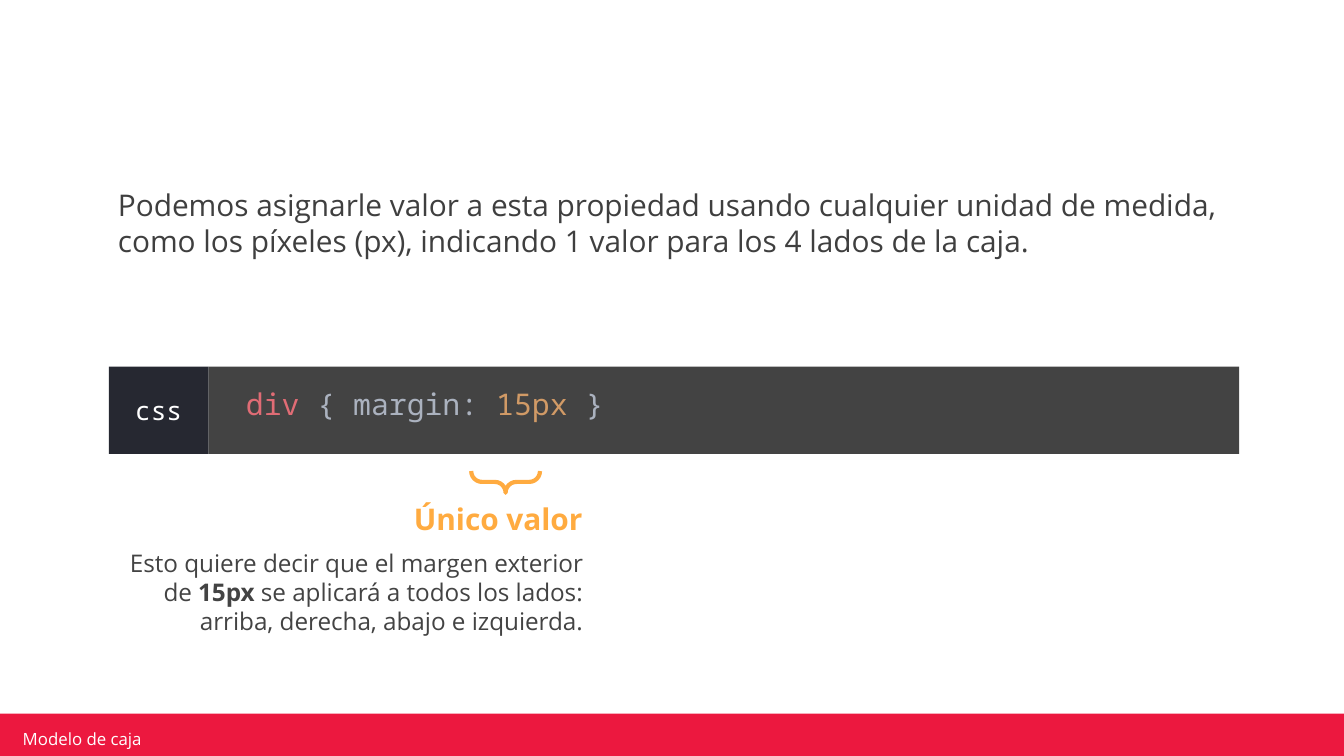
from pptx import Presentation
from pptx.dml.color import RGBColor
from pptx.enum.shapes import MSO_SHAPE
from pptx.enum.text import MSO_ANCHOR, PP_ALIGN
from pptx.util import Cm, Pt

RECTANGLE, BRACE = MSO_SHAPE.RECTANGLE, MSO_SHAPE.RIGHT_BRACE
TOP, MIDDLE = MSO_ANCHOR.TOP, MSO_ANCHOR.MIDDLE
LEFT, CENTER, RIGHT = PP_ALIGN.LEFT, PP_ALIGN.CENTER, PP_ALIGN.RIGHT

SANS, MONO = "Open Sans", "Noto Sans Mono"
WIDTH, HEIGHT = 25.4, 14.29
COLORS = {
    "red": "EC183F", "white": "FFFFFF", "text": "3F3F3F", "gray": "434343",
    "dark": "262831", "amber": "FFAB40", "selector": "E06C75",
    "code": "ABB2BF", "value": "D19A66",
}


def color(name):
    return RGBColor.from_string(COLORS[name])


class SlideBuilder:
    def __init__(self, slide):
        self.slide = slide

    def box(self, area, fill):
        shape = self.slide.shapes.add_shape(RECTANGLE, *map(Cm, area))
        shape.shadow.inherit = False
        shape.fill.solid()
        shape.fill.fore_color.rgb = color(fill)
        shape.line.fill.background()
        return shape

    def text_box(self, area):
        return self.slide.shapes.add_textbox(*map(Cm, area))

    def brace(self, area, line, width):
        shape = self.slide.shapes.add_shape(BRACE, *map(Cm, area))
        shape.shadow.inherit = False
        shape.rotation = 90
        shape.adjustments[0] = shape.adjustments[1] = 0.5
        shape.fill.background()
        shape.line.color.rgb = color(line)
        shape.line.width = Pt(width)

    def add_text(self, shape, paragraphs, font, align=LEFT, anchor=TOP,
                 insets=(0.25, 0.25, 0.25, 0.25), gap=0):
        """Each paragraph is (size, runs); each run is (text, color, bold)."""
        frame = shape.text_frame
        left, top, right, bottom = map(Cm, insets)
        frame_format = {
            "word_wrap": True, "vertical_anchor": anchor,
            "margin_left": left, "margin_top": top,
            "margin_right": right, "margin_bottom": bottom,
        }
        for name, value in frame_format.items():
            setattr(frame, name, value)
        for index, (size, runs) in enumerate(paragraphs):
            paragraph = frame.add_paragraph() if index else frame.paragraphs[0]
            paragraph.alignment = align
            if index:
                paragraph.space_before = Pt(gap)
            for text, tint, bold in runs:
                run = paragraph.add_run()
                run.text = text
                run_format = {"name": font, "size": Pt(size), "bold": bold}
                for name, value in run_format.items():
                    setattr(run.font, name, value)
                run.font.color.rgb = color(tint)


def main():
    presentation = Presentation()
    presentation.slide_width, presentation.slide_height = Cm(WIDTH), Cm(HEIGHT)
    builder = SlideBuilder(
        presentation.slides.add_slide(presentation.slide_layouts[6]))

    # Footer
    footer_top = 13.49
    builder.box((0, footer_top, WIDTH, HEIGHT - footer_top), "red")
    builder.add_text(builder.text_box((0.3, 13.77, 6.07, 0.38)),
                     [(9, [("Modelo de caja", "white", False)])],
                     SANS, anchor=MIDDLE, insets=(0.13, 0.05, 0.13, 0.05))

    # Introduction
    introduction = ("Podemos asignarle valor a esta propiedad usando cualquier "
                    "unidad de medida, como los píxeles (px), indicando 1 valor "
                    "para los 4 lados de la caja.")
    builder.add_text(builder.text_box((1.98, 3.28, 21.41, 3.45)),
                     [(16, [(introduction, "text", False)])], SANS)

    # Code bar with its language label
    bar_left, bar_top, bar_height, label_width = 2.06, 6.93, 1.65, 1.88
    code = builder.box(
        (bar_left + label_width, bar_top, 19.48, bar_height), "gray")
    builder.add_text(code, [(16, [("div ", "selector", False),
                                  ("{ margin: ", "code", False),
                                  ("15px", "value", False),
                                  (" }", "code", False)])],
                     MONO, anchor=MIDDLE, insets=(0.71, 0, 0.25, 0.25))
    label = builder.box((bar_left, bar_top, label_width, bar_height), "dark")
    builder.add_text(label, [(14, [("css", "white", False)])],
                     MONO, align=CENTER, anchor=MIDDLE)

    # Explanation of the value
    builder.brace((9.35, 8.46, 0.41, 1.3), "amber", 2.25)
    builder.add_text(
        builder.text_box((1.96, 9.22, 9.3, 3.66)),
        [(16, [("Único valor", "amber", True)]),
         (13, [("Esto quiere decir que el margen exterior de ", "gray", False),
               ("15px", "gray", True),
               (" se aplicará a todos los lados: arriba, derecha, abajo e "
                "izquierda.", "gray", False)])],
        SANS, align=RIGHT, gap=6)

    presentation.save("out.pptx")


if __name__ == "__main__":
    main()
